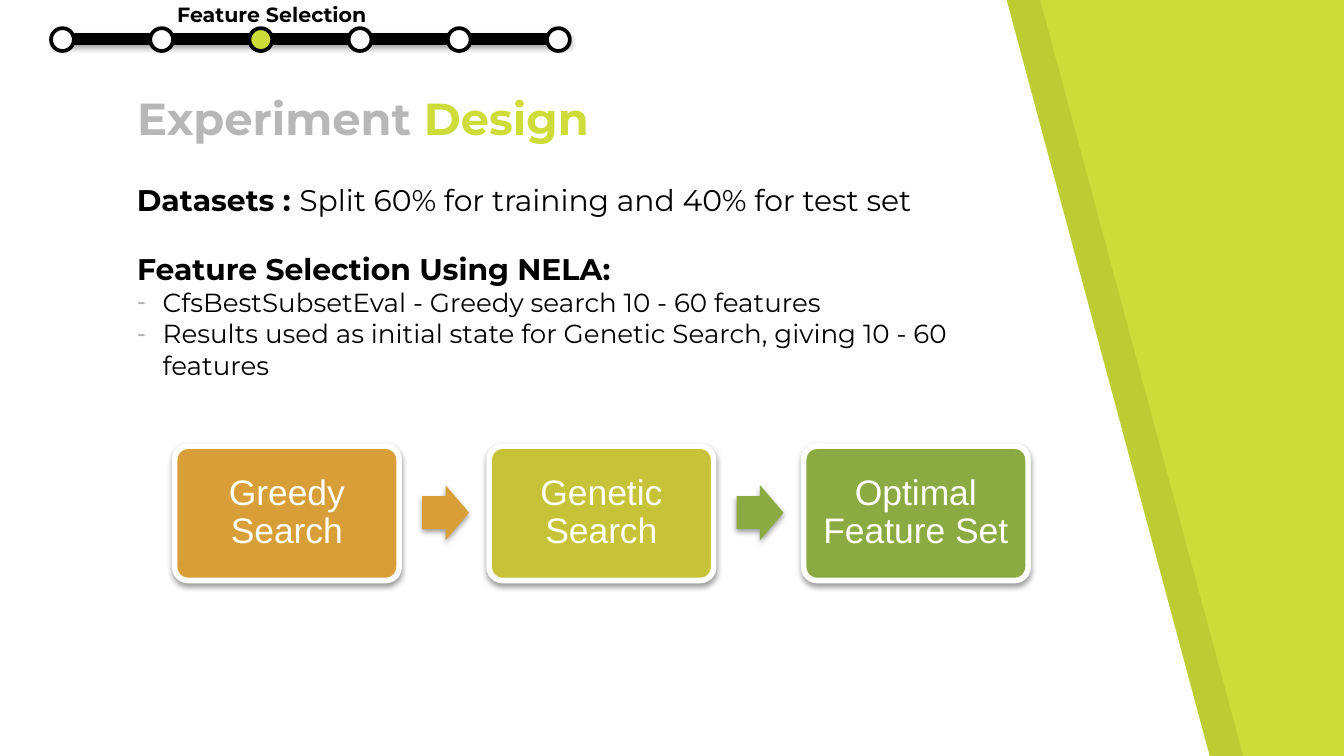
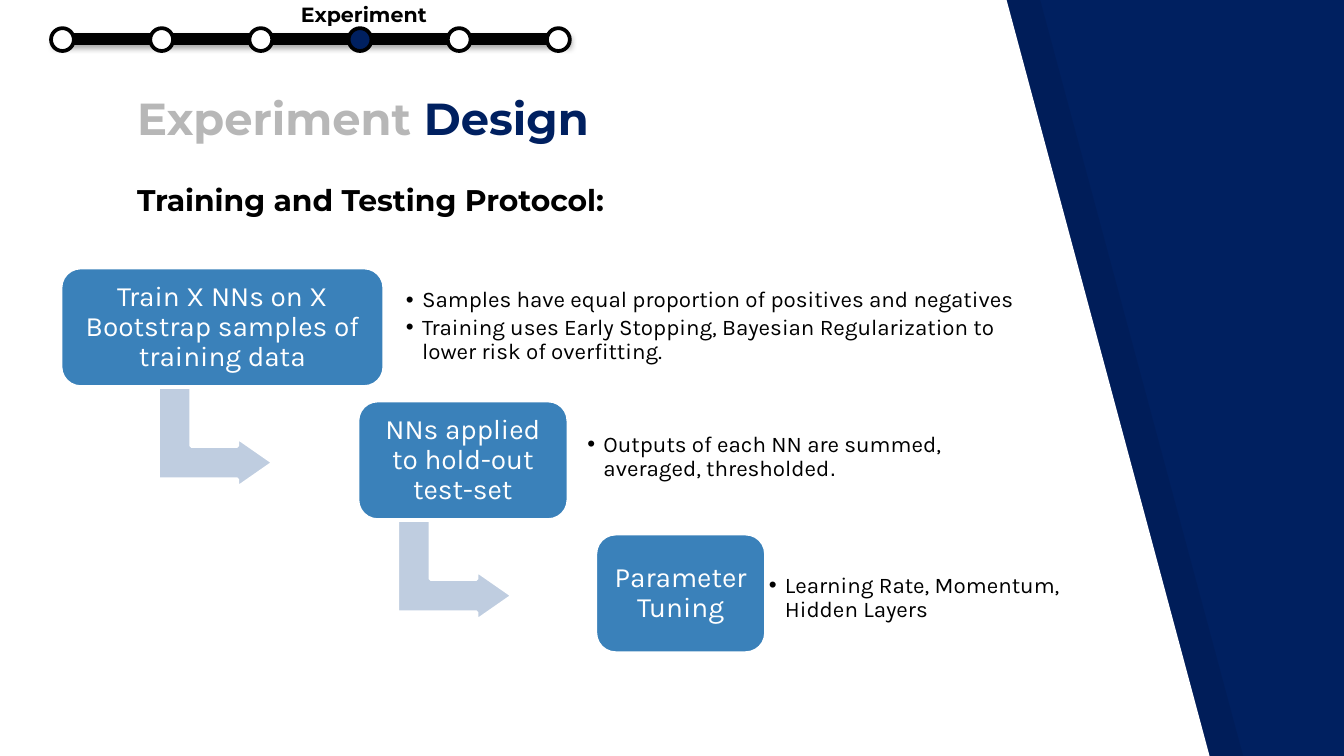
from dataclasses import dataclass, replace

from lxml.etree import SubElement
from pptx import Presentation
from pptx.dml.color import RGBColor
from pptx.enum.shapes import MSO_CONNECTOR, MSO_SHAPE
from pptx.enum.text import MSO_ANCHOR, MSO_AUTO_SIZE, PP_ALIGN
from pptx.oxml.ns import qn
from pptx.util import Emu, Inches, Pt

WIDTH = Inches(10)
HEIGHT = WIDTH * 9 // 16
CELL = WIDTH // 100  # square grid: 100 columns, 56.25 rows


@dataclass(frozen=True)
class Style:
    size: float
    font: str
    color: str = "000000"
    bold: bool = False


@dataclass(frozen=True)
class Line:
    runs: tuple  # (text, Style) pairs
    bullet: str = ""
    indent: float = 0
    bullet_color: str = ""
    spacing: float = 1.0
    after: float = 0
    align: PP_ALIGN = PP_ALIGN.LEFT


class Theme:
    black, white, grey = "000000", "FFFFFF", "B7B7B7"
    lime, navy = "CDDC39", "002060"
    orange, olive, green = "D89F39", "C7C338", "8BAB42"
    step_blue, pale_blue = "3A81BA", "BFCDE0"
    title = Style(24, "Montserrat", grey, True)
    heading = Style(16, "Montserrat", bold=True)
    lead = Style(16, "Montserrat")
    item = Style(14, "Montserrat")
    marker = Style(11, "Montserrat", bold=True)
    stage = Style(19, "Arial", white)
    step = Style(15, "Karla", white)
    detail = Style(12, "Karla")


def cells(*counts):
    return [Emu(round(count * CELL)) for count in counts]


def place(shape, box):
    shape.left, shape.top, shape.width, shape.height = cells(*box)


def set_shadow(shape, opacity=0, distance=1.6):
    """Give a soft shadow below the shape, or none when opacity is 0."""
    properties = shape._element.spPr
    for old in properties.findall(qn("a:effectLst")):
        properties.remove(old)
    effects = SubElement(properties, qn("a:effectLst"))
    if opacity:
        outer = SubElement(effects, qn("a:outerShdw"), blurRad=str(Pt(3.1)),
                           dist=str(Pt(distance)), dir="5400000", rotWithShape="0")
        color = SubElement(outer, qn("a:srgbClr"), val=Theme.black)
        SubElement(color, qn("a:alpha"), val=str(opacity * 1000))


def paint(shape, fill, line=None, line_width=0):
    shape.fill.solid()
    shape.fill.fore_color.rgb = RGBColor.from_string(fill)
    if line:
        shape.line.color.rgb = RGBColor.from_string(line)
        shape.line.width = Pt(line_width)
    else:
        shape.line.fill.background()
    set_shadow(shape)


def format_run(run, style):
    run.font.size = Pt(style.size)
    run.font.name = style.font
    run.font.bold = style.bold
    run.font.color.rgb = RGBColor.from_string(style.color)


def set_bullet(paragraph, line):
    properties = paragraph._p.get_or_add_pPr()
    indent = cells(line.indent)[0]
    properties.set("marL", str(indent))
    properties.set("indent", str(-indent))
    if not line.bullet:
        SubElement(properties, qn("a:buNone"))
        return
    if line.bullet_color:
        color = SubElement(properties, qn("a:buClr"))
        SubElement(color, qn("a:srgbClr"), val=line.bullet_color)
    SubElement(properties, qn("a:buFont"), typeface="Arial")
    SubElement(properties, qn("a:buChar"), char=line.bullet)


def write(shape, lines, anchor=MSO_ANCHOR.BOTTOM, inset=1.0):
    frame = shape.text_frame
    frame.word_wrap = True
    frame.auto_size = MSO_AUTO_SIZE.NONE
    frame.vertical_anchor = anchor
    margin = cells(inset)[0]
    frame.margin_left = frame.margin_right = margin
    frame.margin_top = frame.margin_bottom = margin
    for number, line in enumerate(lines):
        paragraph = frame.add_paragraph() if number else frame.paragraphs[0]
        paragraph.alignment = line.align
        paragraph.line_spacing = line.spacing
        paragraph.space_before = Pt(0)
        paragraph.space_after = Pt(line.after)
        set_bullet(paragraph, line)
        for text, style in line.runs:
            run = paragraph.add_run()
            run.text = text
            format_run(run, style)


def add_text(slide, box, lines, **layout):
    write(slide.shapes.add_textbox(*cells(*box)), lines, **layout)


def add_card(slide, box, text, style, fill, line_width, corner, inset):
    card = slide.shapes.add_shape(MSO_SHAPE.ROUNDED_RECTANGLE, *cells(*box))
    card.adjustments[0] = corner
    paint(card, fill, Theme.white, line_width)
    label = Line(((text, style),), spacing=0.9, align=PP_ALIGN.CENTER)
    write(card, [label], MSO_ANCHOR.MIDDLE, inset)
    return card


def add_panel(slide, shift):
    """Add the slanted panel that leaves the accent background at the right."""
    top_right, bottom_right = cells(74.9 + shift, 90 + shift)
    left = cells(shift)[0]
    outline = slide.shapes.build_freeform(left, 0)
    outline.add_line_segments(
        [(left, HEIGHT), (bottom_right, HEIGHT), (top_right, 0)], close=True)
    return outline.convert_to_shape()


def prepare_layout(layout, slide):
    """Move the shared panels and the title position into the layout."""
    shade, page = add_panel(slide, 2.5), add_panel(slide, 0)
    paint(shade, Theme.black)
    paint(page, Theme.white)
    shade_color = shade._element.spPr.find(qn("a:solidFill"))[0]
    SubElement(shade_color, qn("a:alpha"), val="7000")
    tree = layout.shapes._spTree
    for position, panel in enumerate((shade, page), start=2):
        tree.insert(position, panel._element)
    for placeholder in list(layout.placeholders):
        if placeholder.placeholder_format.idx >= 10:
            tree.remove(placeholder._element)
    place(layout.placeholders[0], (9.2, 7.25, 52.5, 4.5))


def add_frame(slide, accent):
    """Set the accent background and the two-colour title."""
    slide.background.fill.solid()
    slide.background.fill.fore_color.rgb = RGBColor.from_string(accent)
    write(slide.shapes.title, [Line((("Experiment ", Theme.title),
                                     ("Design", replace(Theme.title, color=accent))))])


def add_progress(slide, current, accent, caption, caption_left, caption_width):
    track = slide.shapes.add_connector(MSO_CONNECTOR.STRAIGHT, *cells(3.9, 2.9, 42.4, 2.9))
    track.line.color.rgb = RGBColor.from_string(Theme.black)
    track.line.width = Pt(6)
    set_shadow(track, 35, 1.8)
    for stop in range(6):
        dot = slide.shapes.add_shape(MSO_SHAPE.OVAL, *cells(3.8 + 7.38 * stop, 2.1, 1.7, 1.7))
        paint(dot, accent if stop == current else Theme.white, Theme.black, 2)
    label = slide.shapes.add_textbox(*cells(caption_left, -0.35, caption_width, 2.9))
    label.text_frame.text = caption
    label.text_frame.word_wrap = True
    label.text_frame.auto_size = MSO_AUTO_SIZE.SHAPE_TO_FIT_TEXT
    format_run(label.text_frame.paragraphs[0].runs[0], Theme.marker)


def add_search_flow(slide):
    stages = [("Greedy Search", Theme.orange, Theme.orange),
              ("Genetic Search", Theme.olive, Theme.green),
              ("Optimal Feature Set", Theme.green, None)]
    for number, (text, fill, arrow_fill) in enumerate(stages):
        left = 13 + 23.4 * number
        card = add_card(slide, (left, 33.2, 16.7, 10), text, Theme.stage, fill, 3, 0.1, 0.8)
        set_shadow(card, 38)
        if arrow_fill:
            arrow = slide.shapes.add_shape(
                MSO_SHAPE.RIGHT_ARROW, *cells(left + 18.4, 36.1, 3.5, 4.1))
            arrow.adjustments[0] = 0.6
            paint(arrow, arrow_fill)
            set_shadow(arrow, 38)


def add_protocol_steps(slide):
    detail = Theme.detail
    steps = [
        ("Train X NNs on X Bootstrap samples of training data", 4.5, 24.1, (20.7, 47.5),
         [(("Samples have equal proportion of positives and negatives", detail),),
          (("Training uses Early Stopping, Bayesian Regularization to "
            "lower risk of overfitting.", detail),)]),
        ("NNs applied to hold-out test-set", 26.6, 15.7, (30.4, 34.1),
         [(("Outputs of each NN are summed, averaged, thresholded", detail),
           (".", replace(detail, font="Arial")))]),
        ("Parameter Tuning", 44.3, 12.7, (40.9, 22.8),
         [(("Learning Rate, Momentum, Hidden Layers", detail),)]),
    ]
    for number, (text, left, width, (detail_top, detail_width), details) in enumerate(steps):
        top = 19.9 + 9.9 * number
        if number < len(steps) - 1:
            arrow = slide.shapes.add_shape(
                MSO_SHAPE.BENT_UP_ARROW, *cells(12.3 + 17.8 * number, top + 8.35, 7.5, 8.6))
            arrow.rotation = 90
            for index, share in enumerate((0.33, 0.25, 0.36)):
                arrow.adjustments[index] = share
            paint(arrow, Theme.pale_blue, Theme.white, 2)
        add_card(slide, (left, top, width, 8.9), text, Theme.step, Theme.step_blue, 2, 0.17, 0.6)
        lines = [Line(runs, "•", 1.2, spacing=0.9, after=1.8) for runs in details]
        add_text(slide, (29.7 + 13.5 * number, detail_top, detail_width, 7.2), lines,
                 anchor=MSO_ANCHOR.MIDDLE, inset=0.5)


def build_feature_selection(slide):
    add_frame(slide, Theme.lime)
    add_text(slide, (9.2, 11.9, 68.9, 5.3), [
        Line((("Datasets : ", Theme.heading),
              ("Split 60% for training and 40% for test set", Theme.lead)))])
    methods = ["CfsBestSubsetEval - Greedy search 10 - 60 features",
               "Results used as initial state for Genetic Search, giving 10 - 60 features"]
    body = slide.placeholders[1]
    place(body, (9.2, 17.3, 68.9, 12))
    write(body, [Line((("Feature Selection Using NELA:", Theme.heading),))]
          + [Line(((method, Theme.item),), "-", 1.9, Theme.grey) for method in methods])
    add_search_flow(slide)
    add_progress(slide, 2, Theme.lime, "Feature Selection", 12.2, 19.3)


def build_experiment(slide):
    add_frame(slide, Theme.navy)
    body = slide.placeholders[1]
    place(body, (9.2, 11.9, 68.9, 5.3))
    write(body, [Line((("Training and Testing Protocol:", Theme.heading),))])
    add_protocol_steps(slide)
    add_progress(slide, 3, Theme.navy, "Experiment", 21.4, 12.1)


def main():
    deck = Presentation()
    deck.slide_width, deck.slide_height = WIDTH, HEIGHT
    layout = deck.slide_layouts[1]
    feature_selection, experiment = (deck.slides.add_slide(layout) for _ in range(2))
    prepare_layout(layout, feature_selection)
    build_feature_selection(feature_selection)
    build_experiment(experiment)
    deck.save("out.pptx")


if __name__ == "__main__":
    main()
